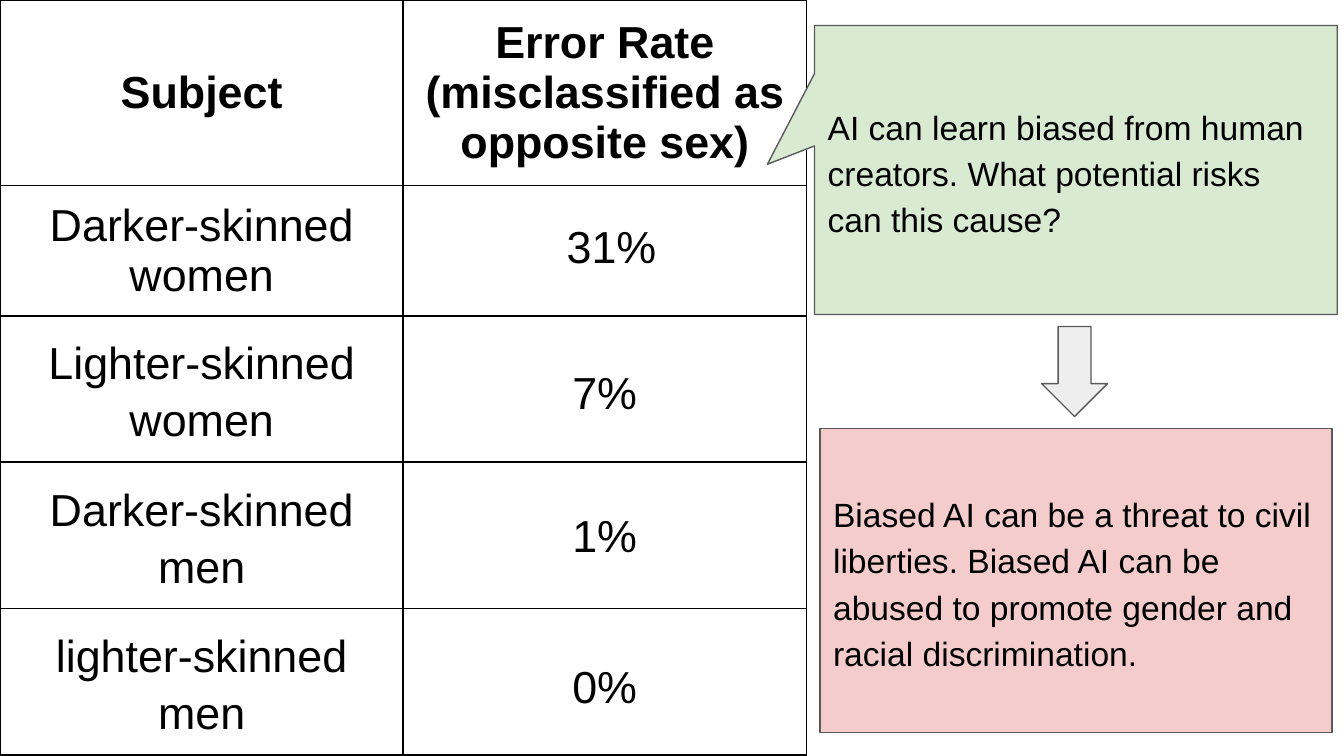
from dataclasses import dataclass

from pptx import Presentation
from pptx.dml.color import RGBColor as RGB
from pptx.enum.shapes import MSO_SHAPE as Kind
from pptx.enum.text import MSO_ANCHOR as Anchor, PP_ALIGN as Align
from pptx.oxml import parse_xml
from pptx.oxml.ns import nsdecls
from pptx.util import Inches, Pt


@dataclass(frozen=True)
class Theme:
    font: str = "Arial"
    ink: str = "000000"
    edge: str = "595959"
    green: str = "D9EAD3"
    red: str = "F4CCCC"
    gray: str = "EEEEEE"
    big: int = 24
    body: int = 18
    rule: float = 1
    thin: float = 0.75


THEME = Theme()


def write(frame, text, size=THEME.big, bold=False, align=Align.CENTER, lead=None):
    frame.word_wrap = True
    para = frame.paragraphs[0]
    para.alignment = align
    if lead:
        para.line_spacing = lead
    run = para.add_run()
    run.text = text
    font = run.font
    font.name, font.size, font.bold = THEME.font, Pt(size), bold
    font.color.rgb = RGB.from_string(THEME.ink)


def inset(area, gap):
    area.margin_left = area.margin_right = Inches(gap)
    area.margin_top = area.margin_bottom = Inches(gap)
    area.vertical_anchor = Anchor.MIDDLE


class Deck:
    """Hold the theme and the current slide, and add elements to it."""

    def __init__(self, theme):
        self.theme = theme
        self.show = Presentation()
        self.show.slide_width = Inches(10)
        self.show.slide_height = Inches(10 * 9 / 16)
        self.slide = self.show.slides.add_slide(self.show.slide_layouts[6])

    def border(self, cell):
        props = cell._tc.get_or_add_tcPr()
        for side in "LRTB":
            props.append(parse_xml(
                f'<a:ln{side} {nsdecls("a")} w="{Pt(self.theme.rule)}"><a:solidFill>'
                f'<a:srgbClr val="{self.theme.ink}"/></a:solidFill></a:ln{side}>'))

    def table(self, rows, highs, wide):
        cols = len(rows[0])
        grid = self.slide.shapes.add_table(
            len(rows), cols, 0, 0, Inches(wide * cols), Inches(sum(highs))).table
        grid.first_row = grid.horz_banding = False
        for col in grid.columns:
            col.width = Inches(wide)
        for r, (row, high) in enumerate(zip(rows, highs)):
            grid.rows[r].height = Inches(high)
            for c, text in enumerate(row):
                cell = grid.cell(r, c)
                self.border(cell)
                cell.fill.background()
                inset(cell, 0.07)
                if text:
                    write(cell.text_frame, text, bold=r == 0,
                          lead=1.15 if r > 1 else None)

    def shape(self, kind, box, fill, text=None, adjust=(), turn=0):
        item = self.slide.shapes.add_shape(kind, *map(Inches, box))
        item.shadow.inherit = False
        item.fill.solid()
        item.fill.fore_color.rgb = RGB.from_string(fill)
        item.line.color.rgb = RGB.from_string(self.theme.edge)
        item.line.width = Pt(self.theme.thin)
        item.rotation = turn
        for i, value in enumerate(adjust):
            item.adjustments[i] = value
        if text:
            inset(item.text_frame, 0.1)
            write(item.text_frame, text, size=self.theme.body,
                  align=Align.LEFT, lead=1.15)

    def label(self, text, left, top):
        box = self.slide.shapes.add_textbox(
            Inches(left), Inches(top), Inches(2.2), Inches(0.72))
        inset(box.text_frame, 0.1)
        write(box.text_frame, text)


def main():
    deck = Deck(THEME)
    deck.table([
        ("Subject", "Error Rate (misclassified as opposite sex)"),
        ("Darker-skinned women", ""),
        ("Lighter-skinned women", ""),
        ("Darker-skinned men", ""),
        ("lighter-skinned men", ""),
    ], highs=[1.38, 0.97, 1.09, 1.09, 1.09], wide=3)
    deck.shape(Kind.RECTANGULAR_CALLOUT, (6.06, 0.19, 3.89, 2.15), THEME.green,
               "AI can learn biased from human creators. "
               "What potential risks can this cause?", adjust=(-0.59, -0.02))
    deck.shape(Kind.RECTANGLE, (6.1, 3.19, 3.81, 2.26), THEME.red,
               "Biased AI can be a threat to civil liberties. Biased AI can be "
               "abused to promote gender and racial discrimination.")
    deck.shape(Kind.RIGHT_ARROW, (7.66, 2.52, 0.67, 0.49), THEME.gray, turn=90)
    for text, left, top in [("0%", 3.4, 4.74), ("1%", 3.4, 3.62),
                            ("7%", 3.4, 2.55), ("31%", 3.45, 1.47)]:
        deck.label(text, left, top)
    deck.show.save("out.pptx")


if __name__ == "__main__":
    main()
